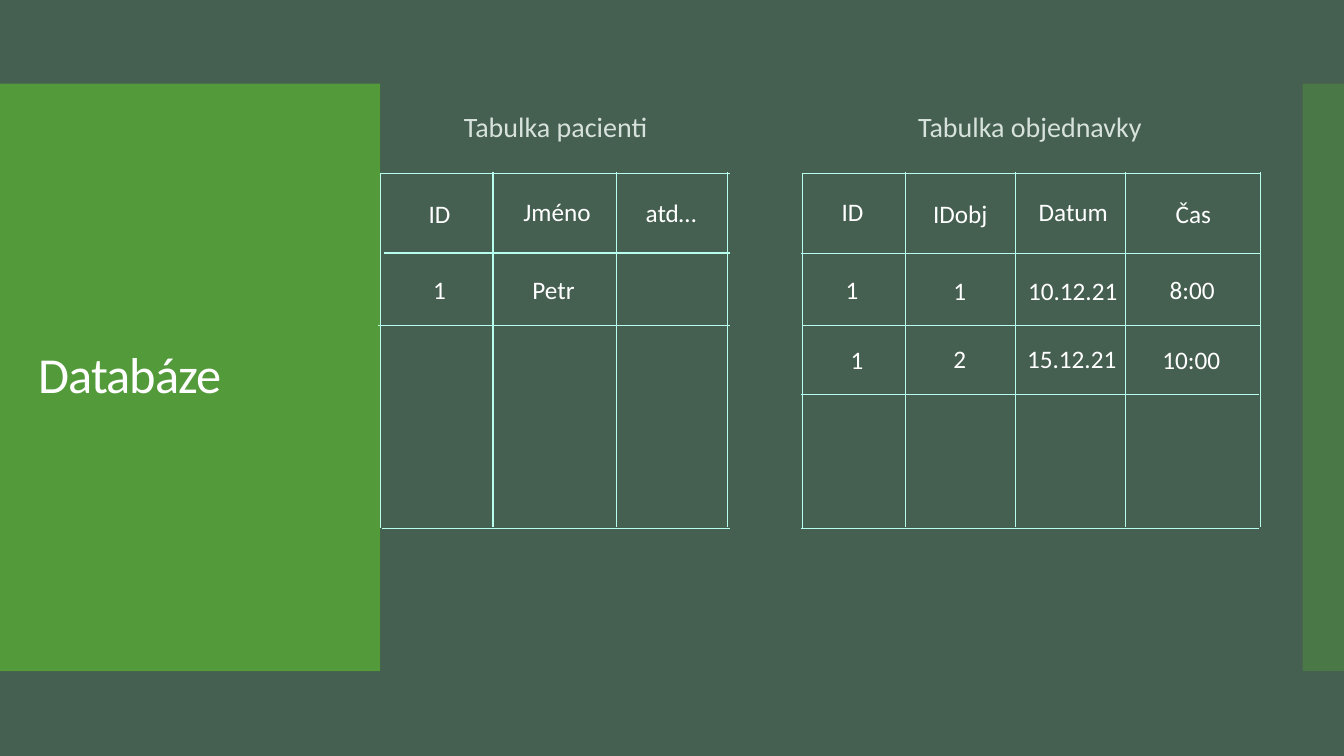
from lxml.etree import SubElement
from pptx import Presentation
from pptx.dml.color import RGBColor
from pptx.enum.shapes import MSO_CONNECTOR, MSO_SHAPE
from pptx.enum.text import MSO_ANCHOR, PP_ALIGN
from pptx.oxml.ns import qn
from pptx.util import Inches, Pt

GREEN, BACKDROP, GRID, PALE, WHITE = "549E39", "455F51", "B8FEEF", "D7E2DC", "FFFFFF"


def color(hex_value):
    return RGBColor.from_string(hex_value)


class SlideBuilder:
    font_name = "Calibri"

    def __init__(self, slide, backdrop):
        self.slide = slide
        slide.background.fill.solid()
        slide.background.fill.fore_color.rgb = color(backdrop)

    def panel(self, left, top, width, height, fill, opacity):
        panel = self.slide.shapes.add_shape(
            MSO_SHAPE.RECTANGLE, Inches(left), Inches(top), Inches(width), Inches(height))
        panel.shadow.inherit = False
        panel.line.fill.background()
        panel.fill.solid()
        panel.fill.fore_color.rgb = color(fill)
        tint = panel.fill._xPr.find(qn("a:solidFill"))[0]
        SubElement(tint, qn("a:alpha")).set("val", str(opacity * 1000))

    def rule(self, x1, y1, x2, y2):
        rule = self.slide.shapes.add_connector(
            MSO_CONNECTOR.STRAIGHT, Inches(x1), Inches(y1), Inches(x2), Inches(y2))
        rule.line.color.rgb = color(GRID)
        rule.line.width = Pt(0.75)
        SubElement(rule._element.spPr, qn("a:effectLst"))

    def text(self, words, left, top, width, height, size=18, ink=WHITE,
             align=PP_ALIGN.CENTER, anchor=MSO_ANCHOR.TOP, leading=None, tracking=None):
        frame = self.slide.shapes.add_textbox(
            Inches(left), Inches(top), Inches(width), Inches(height)).text_frame
        frame.word_wrap = True
        frame.vertical_anchor = anchor
        paragraph = frame.paragraphs[0]
        run = paragraph.add_run()
        run.text = words
        paragraph.alignment = align
        if leading:
            paragraph.line_spacing = leading
        paragraph.font.name = self.font_name
        paragraph.font.size = Pt(size)
        paragraph.font.color.rgb = color(ink)
        if tracking:
            run._r.get_or_add_rPr().set("spc", str(int(tracking * 100)))

    def heading(self, words, left, width):
        self.text(words, left, 0.83, width, 0.89, size=20, ink=PALE,
                  anchor=MSO_ANCHOR.MIDDLE, leading=0.9)

    def grid(self, columns, rows):
        for x, top, bottom in columns:
            self.rule(x, top, x, bottom)
        for y, left, right in rows:
            self.rule(left, y, right, y)

    def cells(self, entries):
        for words, left, top, width in entries:
            self.text(words, left, top, width, 0.4)


def main():
    deck = Presentation()
    deck.slide_width, deck.slide_height = Inches(13.33), Inches(7.5)
    page = SlideBuilder(deck.slides.add_slide(deck.slide_layouts[6]), BACKDROP)

    page.panel(0, 0.83, 3.77, 5.83, GREEN, 95)
    page.panel(12.92, 0.83, 0.41, 5.83, GREEN, 40)
    page.text("Databáze", 0.28, 1.23, 3.22, 5.03, size=36, align=PP_ALIGN.LEFT,
              anchor=MSO_ANCHOR.MIDDLE, leading=0.9, tracking=-0.6)

    page.heading("Tabulka pacienti", 3.79, 3.44)
    page.grid(
        columns=[(3.77, 1.72, 5.24)] + [(x, 1.71, 5.23) for x in (4.89, 6.11, 7.22)],
        rows=[(y, left, 7.24) for y, left in
              ((1.72, 3.78), (2.51, 3.81), (3.23, 3.75), (5.24, 3.79))])
    page.cells([
        ("ID", 3.83, 1.92, 1.06), ("Jméno", 4.94, 1.9, 1.17), ("atd…", 6.11, 1.91, 1.09),
        ("1", 3.8, 2.67, 1.12), ("Petr", 4.93, 2.67, 1.12),
    ])

    page.heading("Tabulka objednavky", 7.95, 4.53)
    page.grid(
        columns=[(7.96, 1.72, 5.24)] + [(x, 1.71, 5.23) for x in (8.98, 10.07, 11.16, 12.5)],
        rows=[(1.72, 7.95, 12.5), (2.52, 7.94, 12.5), (3.23, 7.96, 12.51),
              (3.91, 7.94, 12.49), (5.24, 7.94, 12.49)])
    page.cells([
        ("ID", 7.94, 1.9, 1.03), ("IDobj", 8.98, 1.92, 1.09),
        ("Datum", 10.1, 1.9, 1.09), ("Čas", 11.29, 1.92, 1.09),
        ("1", 7.96, 2.67, 0.98), ("1", 8.98, 2.68, 1.08),
        ("10.12.21", 10.08, 2.68, 1.12), ("8:00", 11.16, 2.67, 1.33),
        ("1", 8.01, 3.37, 0.98), ("2", 8.98, 3.36, 1.08),
        ("15.12.21", 10.07, 3.36, 1.12), ("10:00", 11.15, 3.37, 1.33),
    ])

    deck.save("out.pptx")


if __name__ == "__main__":
    main()
